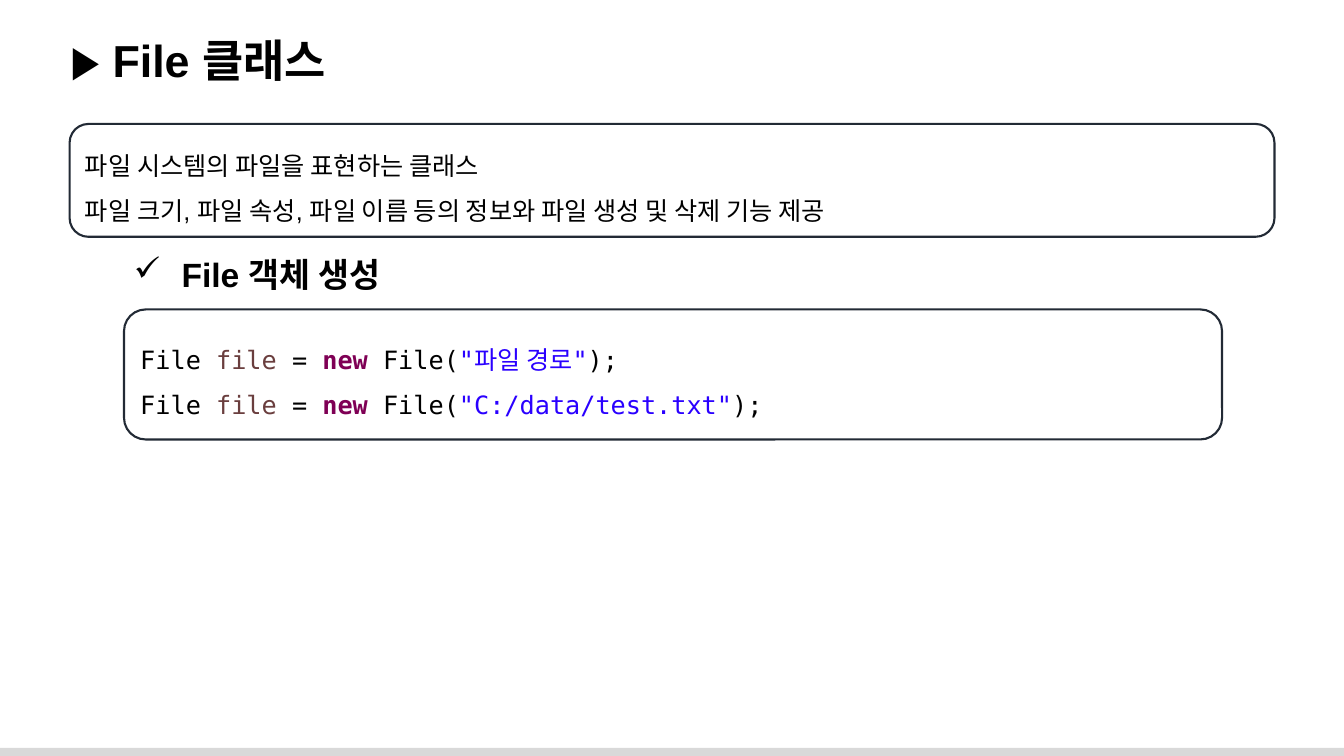
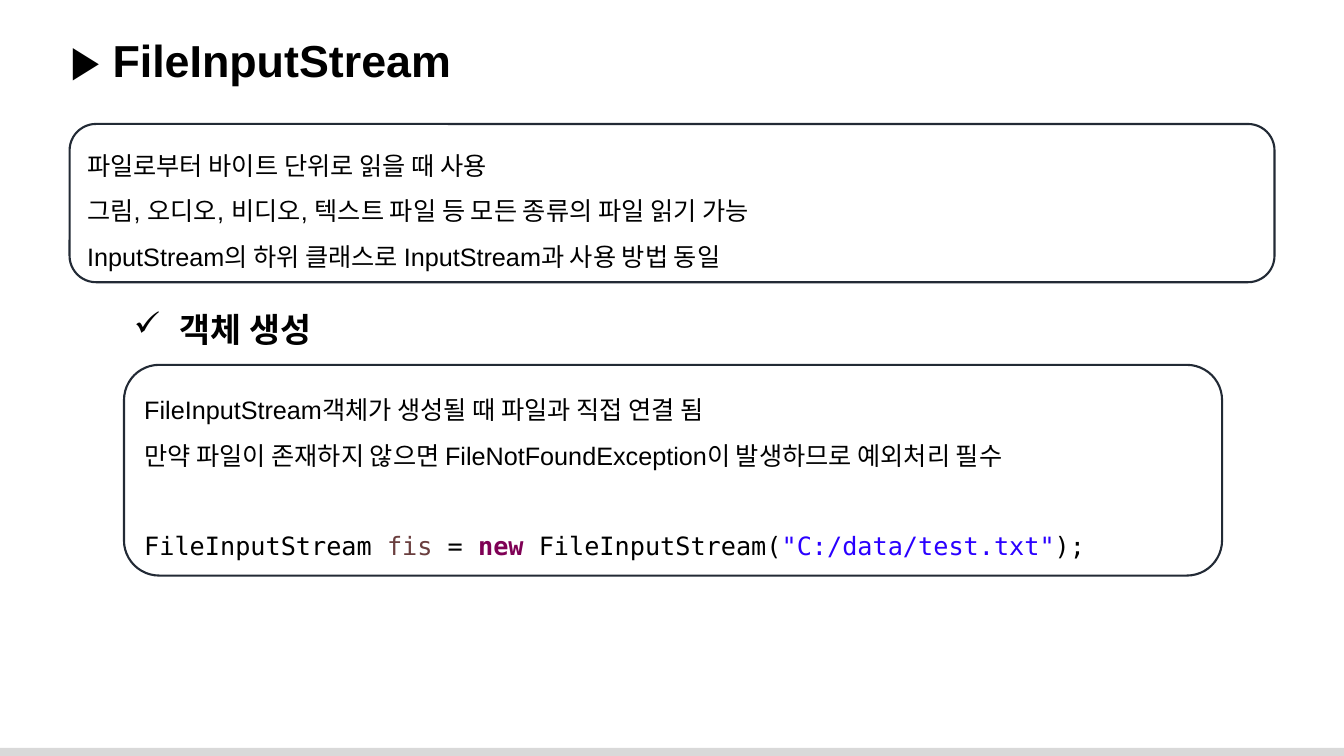
from dataclasses import dataclass

from lxml import etree
from pptx import Presentation
from pptx.dml.color import RGBColor
from pptx.enum.shapes import MSO_SHAPE
from pptx.enum.text import MSO_ANCHOR, PP_ALIGN
from pptx.oxml.ns import qn
from pptx.util import Inches, Pt

RECT = MSO_SHAPE.RECTANGLE
ROUND = MSO_SHAPE.ROUNDED_RECTANGLE
TOP = MSO_ANCHOR.TOP
MIDDLE = MSO_ANCHOR.MIDDLE
LEFT = PP_ALIGN.LEFT

BLACK = RGBColor(0x00, 0x00, 0x00)
NAVY = RGBColor(0x22, 0x2A, 0x35)
GRAY = RGBColor(0xD9, 0xD9, 0xD9)
BROWN = RGBColor(0x6A, 0x3E, 0x3E)
PLUM = RGBColor(0x7F, 0x00, 0x55)
BLUE = RGBColor(0x2A, 0x00, 0xFF)

SANS = "Arial"
MONO = "DejaVu Sans Mono"

WIDE = Inches(13.33)
HIGH = Inches(7.5)
COLS = 100
ROWS = 100
HEAD_ROWS = 6.67
HEAD_STEP = 8
INNER = 9.23


@dataclass(frozen=True)
class Area:
    col: float
    row: float
    cols: float
    rows: float

    def place(self) -> tuple[int, int, int, int]:
        return (
            round(self.col * WIDE / COLS),
            round(self.row * HIGH / ROWS),
            round(self.cols * WIDE / COLS),
            round(self.rows * HIGH / ROWS),
        )


@dataclass(frozen=True)
class Word:
    text: str
    color: RGBColor = BLACK
    bold: bool = False
    font: str = SANS


@dataclass(frozen=True)
class Line:
    words: tuple[Word, ...]
    before: float = 0


@dataclass(frozen=True)
class Page:
    title: str
    intro: tuple[Line, ...]
    intro_rows: float
    gap: float
    head: str
    head_cols: float
    body: tuple[Line, ...]
    body_rows: float


TITLE = Area(4.5, 3.73, 94.5, 8.53)
FOOT = Area(0, 98.93, COLS, 1.07)


def plain(text: str) -> Line:
    return Line((Word(text),))


def code(kind: str, name: str, arg: str, before: float = 0) -> Line:
    parts = (
        (f"{kind} ", BLACK),
        (name, BROWN),
        (" = ", BLACK),
        ("new ", PLUM),
        (f"{kind}(", BLACK),
        (f'"{arg}"', BLUE),
        (");", BLACK),
    )
    return Line(tuple(Word(text, color, color == PLUM, MONO) for text, color in parts), before)


PAGES = (
    Page(
        title="▶ File 클래스",
        intro=(
            plain("파일 시스템의 파일을 표현하는 클래스"),
            plain("파일 크기, 파일 속성, 파일 이름 등의 정보와 파일 생성 및 삭제 기능 제공"),
        ),
        intro_rows=14.93,
        gap=1.6,
        head=" File 객체 생성",
        head_cols=21.23,
        body=(
            code("File", "file", "파일 경로"),
            code("File", "file", "C:/data/test.txt"),
        ),
        body_rows=17.2,
    ),
    Page(
        title="▶ FileInputStream",
        intro=(
            plain("파일로부터 바이트 단위로 읽을 때 사용"),
            plain("그림, 오디오, 비디오, 텍스트 파일 등 모든 종류의 파일 읽기 가능"),
            plain("InputStream의 하위 클래스로 InputStream과 사용 방법 동일"),
        ),
        intro_rows=20.93,
        gap=2.93,
        head=" 객체 생성",
        head_cols=16.28,
        body=(
            plain("FileInputStream객체가 생성될 때 파일과 직접 연결 됨"),
            plain("만약 파일이 존재하지 않으면 FileNotFoundException이 발생하므로 예외처리 필수"),
            code("FileInputStream", "fis", "C:/data/test.txt", before=32.5),
        ),
        body_rows=27.87,
    ),
)


def write(frame, lines: tuple[Line, ...], *, size: float = 18, space: float = 1,
          anchor=TOP, bullet: str = "") -> None:
    frame.word_wrap = True
    frame.vertical_anchor = anchor
    for spot, line in enumerate(lines):
        para = frame.paragraphs[0] if spot == 0 else frame.add_paragraph()
        para.alignment = LEFT
        para.line_spacing = space
        para.space_before = Pt(line.before)
        if bullet:
            mark(para, bullet)
        for word in line.words:
            run = para.add_run()
            run.text = word.text
            run.font.name = word.font
            run.font.size = Pt(size)
            run.font.bold = word.bold
            run.font.color.rgb = word.color


def mark(para, sign: str) -> None:
    props = para._p.get_or_add_pPr()
    indent = Inches(0.38)
    props.set("marL", str(indent))
    props.set("indent", str(-indent))
    etree.SubElement(props, qn("a:buChar")).set("char", sign)


def label(slide, area: Area, text: str, **form) -> None:
    box = slide.shapes.add_textbox(*area.place())
    write(box.text_frame, (Line((Word(text, bold=True),)),), **form)


def panel(slide, area: Area, lines: tuple[Line, ...]) -> None:
    box = slide.shapes.add_shape(ROUND, *area.place())
    box.shadow.inherit = False
    box.fill.background()
    box.line.color.rgb = NAVY
    box.line.width = Pt(1.5)
    write(box.text_frame, lines, space=1.5, anchor=MIDDLE)


def foot(slide) -> None:
    bar = slide.shapes.add_shape(RECT, *FOOT.place())
    bar.shadow.inherit = False
    bar.fill.solid()
    bar.fill.fore_color.rgb = GRAY
    bar.line.fill.background()


def draw(slide, page: Page) -> None:
    foot(slide)
    label(slide, TITLE, page.title, size=32)
    intro = Area(5.18, 16.4, 89.65, page.intro_rows)
    panel(slide, intro, page.intro)
    row = intro.row + intro.rows + page.gap
    label(slide, Area(INNER, row, page.head_cols, HEAD_ROWS), page.head, size=24, bullet="✓")
    panel(slide, Area(INNER, row + HEAD_STEP, 81.7, page.body_rows), page.body)


def main() -> None:
    deck = Presentation()
    deck.slide_width = WIDE
    deck.slide_height = HIGH
    blank = deck.slide_layouts[6]
    for page in PAGES:
        draw(deck.slides.add_slide(blank), page)
    deck.save("out.pptx")


if __name__ == "__main__":
    main()
